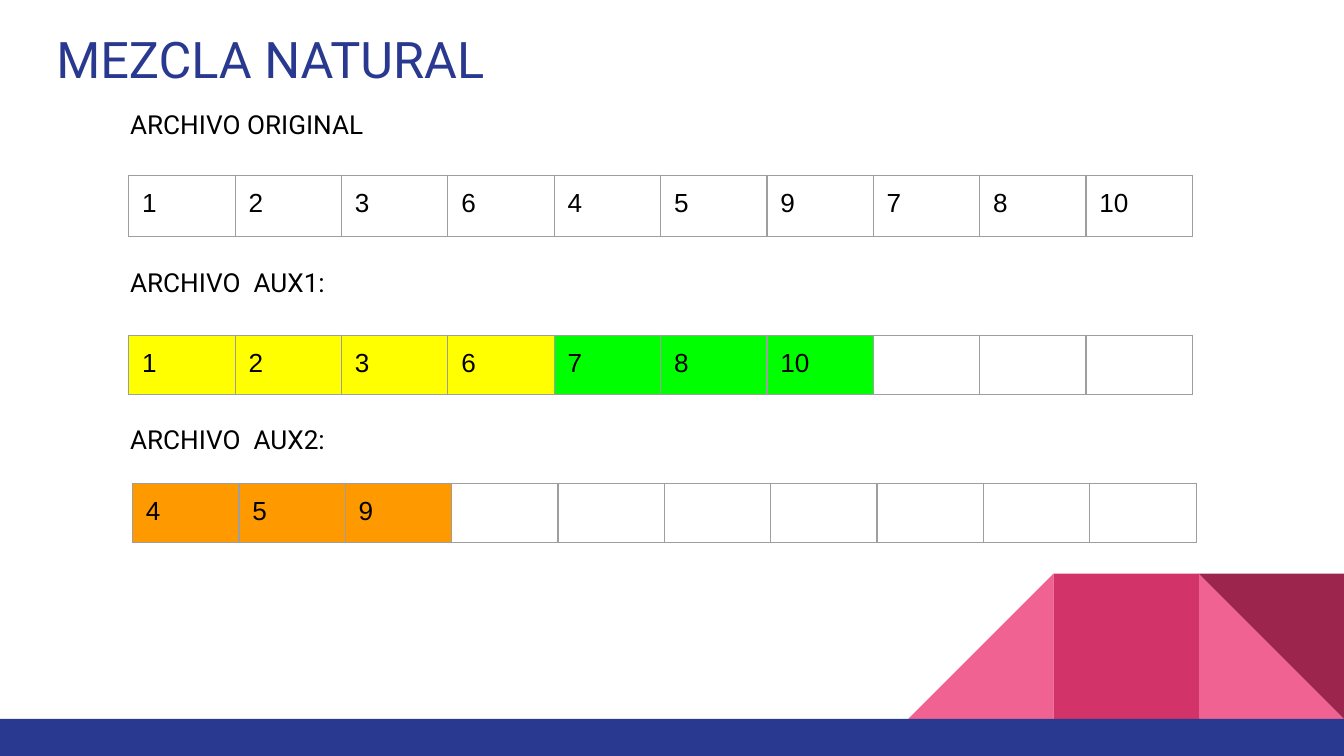
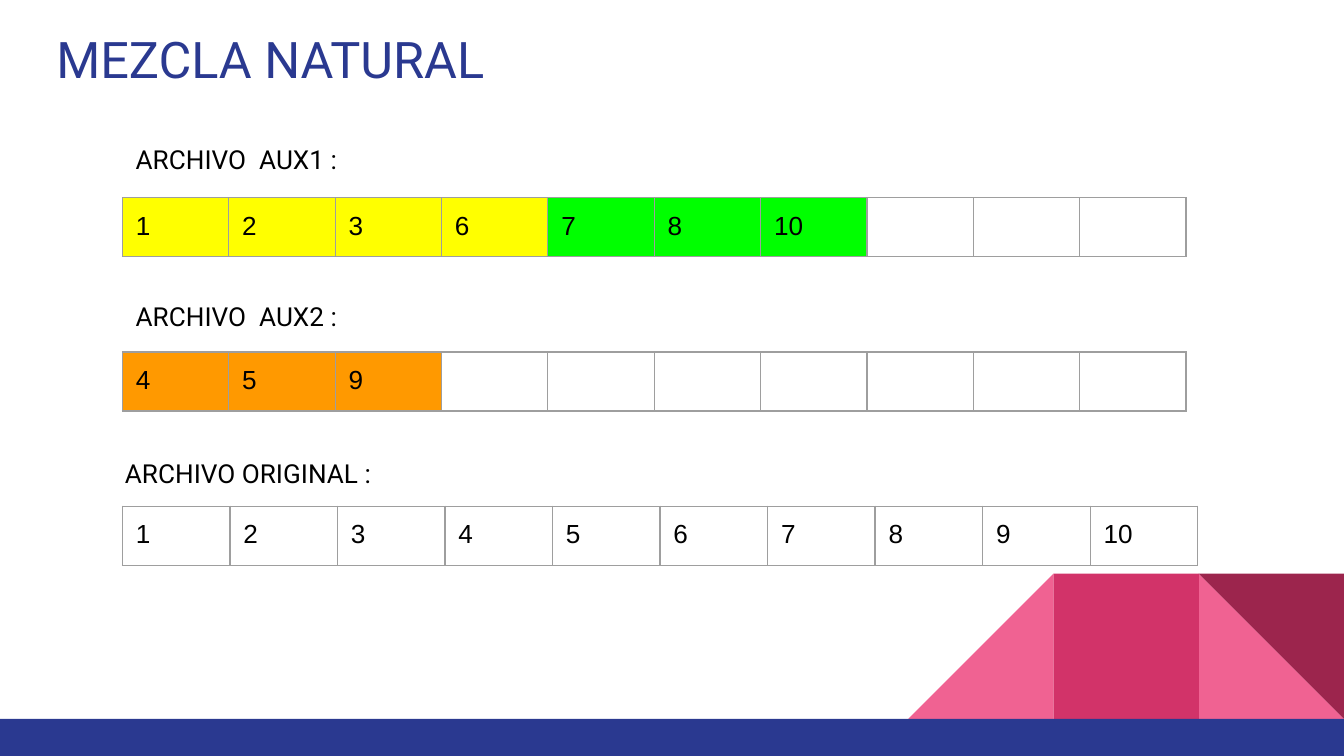
from lxml import etree
from pptx import Presentation
from pptx.dml.color import RGBColor
from pptx.enum.shapes import MSO_SHAPE as Preset
from pptx.enum.text import MSO_ANCHOR as Anchor, MSO_AUTO_SIZE as AutoSize, PP_ALIGN as Align
from pptx.oxml.ns import qn
from pptx.util import Pt

COLORS = {
    "blue": "2A3990", "pink": "F06292", "rose": "D23369", "wine": "9C254D",
    "black": "000000", "border": "9E9E9E",
    "yellow": "FFFF00", "green": "00FF00", "orange": "FF9900",
}
INSET = Pt(7.2)


def add_run(frame, text, size, font, color):
    frame.margin_left = frame.margin_right = INSET
    frame.margin_top = frame.margin_bottom = INSET
    run = frame.paragraphs[0].add_run()
    run.text = text
    run.font.size = Pt(size)
    run.font.name = font
    run.font.color.rgb = RGBColor.from_string(COLORS[color])


def add_borders(cell):
    properties = cell._tc.get_or_add_tcPr()
    for position, side in enumerate(("a:lnL", "a:lnR", "a:lnT", "a:lnB")):
        line = etree.Element(qn(side), w=str(Pt(0.75)))
        fill = etree.SubElement(line, qn("a:solidFill"))
        etree.SubElement(fill, qn("a:srgbClr"), val=COLORS["border"])
        properties.insert(position, line)


presentation = Presentation()
presentation.slide_width, presentation.slide_height = Pt(720), Pt(405)
layout = presentation.slide_layouts[5]
slides = [presentation.slides.add_slide(layout) for _ in range(2)]

# Title place on the shared layout
title = layout.placeholders[0]
title.left, title.top, title.width, title.height = Pt(23), Pt(7.2), Pt(671), Pt(47.5)

# Facets and bottom band, drawn once and moved to the layout
FACET, BAND_TOP = 77.8, 385.1
facet_top = BAND_TOP - FACET
decoration = slides[0].shapes.add_group_shape()
for preset, left, top, width, height, color, flipped, rotation in (
    (Preset.RIGHT_TRIANGLE, 720 - FACET, facet_top, FACET, FACET, "pink", False, 0),
    (Preset.RIGHT_TRIANGLE, 720 - 3 * FACET, facet_top, FACET, FACET, "pink", True, 0),
    (Preset.RECTANGLE, 720 - 2 * FACET, facet_top, FACET, FACET, "rose", False, 0),
    (Preset.RIGHT_TRIANGLE, 720 - FACET, facet_top, FACET, FACET, "wine", False, 180),
    (Preset.RECTANGLE, 0, BAND_TOP, 720, 405 - BAND_TOP, "blue", False, 0),
):
    shape = decoration.shapes.add_shape(preset, Pt(left), Pt(top), Pt(width), Pt(height))
    shape.shadow.inherit = False
    shape.fill.solid()
    shape.fill.fore_color.rgb = RGBColor.from_string(COLORS[color])
    shape.line.fill.background()
    shape.rotation = rotation
    if flipped:
        shape.element.spPr.find(qn("a:xfrm")).set("flipH", "1")
for number, properties in enumerate(decoration.element.iter(qn("p:cNvPr")), 100):
    properties.set("id", str(number))
layout.shapes.element.append(decoration.element)

# File contents as sorted runs, each with its colour
AUX1 = (([1, 2, 3, 6], "yellow"), ([7, 8, 10], "green"))
AUX2 = (([4, 5, 9], "orange"),)
UNSORTED = (([1, 2, 3, 6, 4, 5, 9, 7, 8, 10], None),)
SORTED = ((range(1, 11), None),)

# Label, its left, top and width; table left, top, column width, row height; contents
files_by_slide = (
    (
        ("ARCHIVO ORIGINAL", 62.6, 51, 194, 69, 94, 57, 32.6, UNSORTED),
        ("ARCHIVO  AUX1:", 62.6, 135.3, 133, 69, 179.6, 57, 31.6, AUX1),
        ("ARCHIVO  AUX2:", 62.6, 219.6, 133, 71, 259, 57, 31.6, AUX2),
    ),
    (
        ("ARCHIVO  AUX1 :", 65.6, 69.5, 133, 65.6, 106, 57, 31.6, AUX1),
        ("ARCHIVO  AUX2 :", 65.6, 153.5, 133, 65.6, 188.6, 57, 31.6, AUX2),
        ("ARCHIVO ORIGINAL :", 59.8, 237.7, 194, 65.6, 271.2, 57.6, 31.6, SORTED),
    ),
)

for slide, files in zip(slides, files_by_slide):
    # Title
    frame = slide.shapes.title.text_frame
    frame.auto_size = AutoSize.NONE
    frame.vertical_anchor = Anchor.BOTTOM
    frame.paragraphs[0].alignment = Align.LEFT
    add_run(frame, "MEZCLA NATURAL", 27, "Roboto", "blue")

    for label, left, top, width, table_left, table_top, column, row, contents in files:
        # Label
        box = slide.shapes.add_textbox(Pt(left), Pt(top), Pt(width), Pt(31.6))
        box.text_frame.word_wrap = True
        box.text_frame.auto_size = AutoSize.SHAPE_TO_FIT_TEXT
        add_run(box.text_frame, label, 14, "Roboto", "black")

        # Table of ten records
        table = slide.shapes.add_table(
            1, 10, Pt(table_left), Pt(table_top), Pt(10 * column), Pt(row)).table
        table.first_row = table.horz_banding = False
        records = [(value, color) for values, color in contents for value in values]
        for index in range(10):
            table.columns[index].width = Pt(column)
            cell = table.cell(0, index)
            value, color = records[index] if index < len(records) else (None, None)
            if color:
                cell.fill.solid()
                cell.fill.fore_color.rgb = RGBColor.from_string(COLORS[color])
            else:
                cell.fill.background()
            add_borders(cell)
            if value is not None:
                add_run(cell.text_frame, str(value), 14, "Arial", "black")
                cell.margin_left = cell.margin_right = INSET
                cell.margin_top = cell.margin_bottom = INSET

presentation.save("out.pptx")
